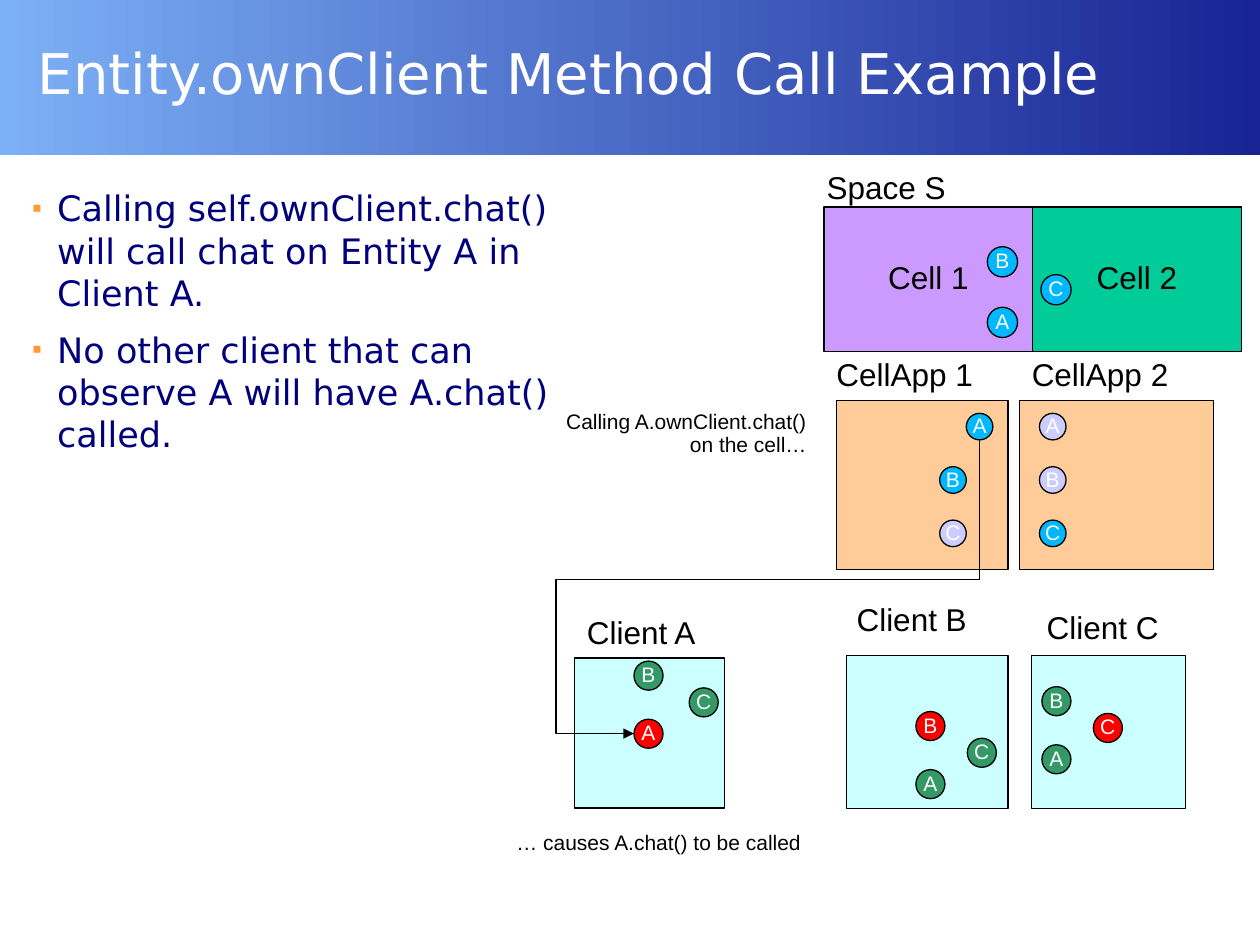
from dataclasses import dataclass

from lxml.etree import SubElement
from pptx import Presentation
from pptx.dml.color import RGBColor
from pptx.enum.shapes import MSO_CONNECTOR, MSO_SHAPE
from pptx.enum.text import MSO_ANCHOR, MSO_AUTO_SIZE, PP_ALIGN
from pptx.oxml.ns import qn
from pptx.util import Pt


@dataclass(frozen=True)
class Theme:
    heading_font: str = "DejaVu Sans"
    diagram_font: str = "Arial"
    title_size: int = 32
    body_size: int = 20
    label_size: int = 18
    small_size: int = 12
    white: str = "FFFFFF"
    black: str = "000000"
    body: str = "00007D"
    bullet: str = "FF9933"
    band_light: str = "7CB0F6"
    band_dark: str = "182494"
    cell_one: str = "CC99FF"
    cell_two: str = "00CC99"
    cell_app: str = "FFCC99"
    client: str = "CCFFFF"
    real: str = "00B8FF"
    ghost: str = "CCCCFF"
    player: str = "FF0000"
    remote: str = "339966"


THEME = Theme()


def style_para(para, size, color, font=THEME.diagram_font, align=PP_ALIGN.LEFT, spacing=0.93):
    para.alignment = align
    para.line_spacing = spacing
    para.space_before = Pt(0)
    para.font.size = Pt(size)
    para.font.name = font
    para.font.color.rgb = RGBColor.from_string(color)


def set_margins(frame, left, top, right, bottom):
    frame.margin_left, frame.margin_top = Pt(left), Pt(top)
    frame.margin_right, frame.margin_bottom = Pt(right), Pt(bottom)


def place(shape, box):
    shape.left, shape.top, shape.width, shape.height = map(Pt, box)


def add_block(page, kind, box, fill, text="", size=THEME.label_size, color=THEME.black):
    shape = page.shapes.add_shape(kind, *map(Pt, box))
    shape.shadow.inherit = False
    shape.fill.solid()
    shape.fill.fore_color.rgb = RGBColor.from_string(fill)
    shape.line.color.rgb = RGBColor.from_string(THEME.black)
    shape.line.width = Pt(0.75)
    if text:
        frame = shape.text_frame
        frame.word_wrap = False
        frame.vertical_anchor = MSO_ANCHOR.MIDDLE
        frame.text = text
        style_para(frame.paragraphs[0], size, color, align=PP_ALIGN.CENTER)


def add_label(page, box, lines, size=THEME.label_size, align=PP_ALIGN.LEFT):
    frame = page.shapes.add_textbox(*map(Pt, box)).text_frame
    frame.word_wrap = True
    frame.text = "\n".join(lines)
    for para in frame.paragraphs:
        style_para(para, size, THEME.black, align=align)


def add_entity(page, name, left, top, size, fill):
    add_block(page, MSO_SHAPE.OVAL, (left, top, size, size), fill,
              name, THEME.small_size, THEME.white)


def add_trio(page, left, top, size, fills, spread=1.77):
    """Entity A at the given corner, C up and to the right, B straight above."""
    for name, across, up in (("A", 0, 0), ("C", spread, 1.08), ("B", 0, 2)):
        add_entity(page, name, left + across * size, top - up * size, size, fills[name])


def add_title(page, box):
    left, top, width, height = box
    band = page.shapes.add_shape(MSO_SHAPE.RECTANGLE, *map(Pt, box))
    band.shadow.inherit = False
    band.line.fill.background()
    band.fill.gradient()
    band.fill.gradient_angle = 0
    for stop, color in zip(band.fill.gradient_stops, (THEME.band_light, THEME.band_dark)):
        stop.color.rgb = RGBColor.from_string(color)
    page.shapes._spTree.insert(2, band._element)  # behind the title

    title = page.shapes.title
    place(title, (left + 14.4, top, width - 31, height - 6))
    frame = title.text_frame
    frame.auto_size = MSO_AUTO_SIZE.NONE
    frame.vertical_anchor = MSO_ANCHOR.MIDDLE
    set_margins(frame, 7.2, 3, 7.2, 3.6)
    frame.text = "Entity.ownClient Method Call Example"
    style_para(frame.paragraphs[0], THEME.title_size, THEME.white,
               THEME.heading_font, spacing=1.01)


def add_bullet(para):
    properties = para._p.get_or_add_pPr()
    properties.set("marL", str(Pt(14.4)))
    properties.set("indent", str(-Pt(14.4)))
    color = SubElement(properties, qn("a:buClr"))
    SubElement(color, qn("a:srgbClr"), val=THEME.bullet)
    SubElement(properties, qn("a:buSzPct"), val="80000")
    SubElement(properties, qn("a:buChar"), char="▪")


def add_body(page, box):
    body = page.placeholders[1]
    place(body, box)
    frame = body.text_frame
    frame.auto_size = MSO_AUTO_SIZE.NONE
    set_margins(frame, 3.9, 0.7, 2.9, 3.6)
    frame.text = "\n".join((
        "Calling self.ownClient.chat() will call chat on Entity A in Client A.",
        "No other client that can observe A will have A.chat() called.",
    ))
    for index, para in enumerate(frame.paragraphs):
        add_bullet(para)
        style_para(para, THEME.body_size, THEME.body, THEME.heading_font, spacing=1.01)
        para.space_before = Pt(8 if index else 0)


def add_space(page, box):
    left, top, width, height = box
    half = width / 2
    for index, fill in enumerate((THEME.cell_one, THEME.cell_two)):
        add_block(page, MSO_SHAPE.RECTANGLE, (left + index * half, top, half, height),
                  fill, f"Cell {index + 1}")
    add_label(page, (left - 5.6, top - 23.6, 96, 27.4), ["Space S"])
    add_trio(page, left + 93.3, top + 57.4, 17.3, dict.fromkeys("ABC", THEME.real))


def add_cell_app(page, box, name, label_shift, columns, real):
    left, top, width, height = box
    add_block(page, MSO_SHAPE.RECTANGLE, box, THEME.cell_app)
    add_label(page, (left + label_shift, top - 27.4, 106, 27.4), [name])
    for row, (entity, across) in enumerate(zip("ABC", columns)):
        add_entity(page, entity, left + across, top + 7.4 + 30.5 * row, 15.2,
                   THEME.real if entity in real else THEME.ghost)


def add_client(page, box, owner, label_at, trio_at, spread=1.77):
    left, top, width, height = box
    add_block(page, MSO_SHAPE.RECTANGLE, box, THEME.client)
    add_label(page, (left + label_at[0], top + label_at[1], 92, 27.4), [f"Client {owner}"])
    fills = dict.fromkeys("ABC", THEME.remote) | {owner: THEME.player}
    add_trio(page, left + trio_at[0], top + trio_at[1], 16.6, fills, spread)


def add_call_arrow(page, box):
    """Elbow from the top right of the box, down, past its left side and back in."""
    left, top, width, height = box
    # The quarter turn swaps width and height about the centre of the box
    turned_left = left + (width - height) / 2
    turned_top = top + (height - width) / 2
    arrow = page.shapes.add_connector(
        MSO_CONNECTOR.ELBOW, Pt(turned_left), Pt(turned_top),
        Pt(turned_left + height), Pt(turned_top + width))
    arrow.line.color.rgb = RGBColor.from_string(THEME.black)
    arrow.line.width = Pt(0.75)
    properties = arrow._element.spPr
    properties.find(qn("a:xfrm")).set("rot", "5400000")
    geometry = properties.find(qn("a:prstGeom"))
    geometry.set("prst", "bentConnector4")
    guides = geometry.find(qn("a:avLst"))
    if guides is None:
        guides = SubElement(geometry, qn("a:avLst"))
    for name, value in (("adj1", 47500), ("adj2", 122500)):
        SubElement(guides, qn("a:gd"), name=name, fmla=f"val {value}")
    SubElement(properties.find(qn("a:ln")), qn("a:tailEnd"), type="triangle")
    SubElement(properties, qn("a:effectLst"))


def main():
    deck = Presentation()
    deck.slide_width, deck.slide_height = Pt(720), Pt(540)
    page = deck.slides.add_slide(deck.slide_layouts[1])

    # Title and list
    add_title(page, (0, 0, 720, 88.6))
    add_body(page, (14.4, 105.8, 311, 396.7))

    # Server side
    add_space(page, (470.9, 118.2, 238.4, 82.8))
    add_cell_app(page, (478, 228.8, 98, 96.5), "CellApp 1", -7.2, (74.2, 59, 59), "AB")
    add_cell_app(page, (582.5, 228.8, 111, 96.5), "CellApp 2", 0, (11.5,) * 3, "C")

    # Clients
    add_client(page, (328.3, 376, 85.7, 85.7), "A", (0, -27.4), (34, 35), spread=1.9)
    add_client(page, (483.8, 374.4, 92.2, 87.6), "B", (-1.4, -33.1), (39.6, 65.4))
    add_client(page, (589.6, 374.4, 87.8, 87.6), "C", (1.4, -28.8), (5.8, 51.2))

    # The call and its remarks
    add_call_arrow(page, (362.2, 251.4, 197.4, 167.8))
    add_label(page, (288, 471.6, 190, 21), ["… causes A.chat() to be called"], THEME.small_size)
    add_label(page, (308, 231, 160, 34), ["Calling A.ownClient.chat()", "on the cell…"],
              THEME.small_size, PP_ALIGN.RIGHT)

    deck.save("out.pptx")


if __name__ == "__main__":
    main()
